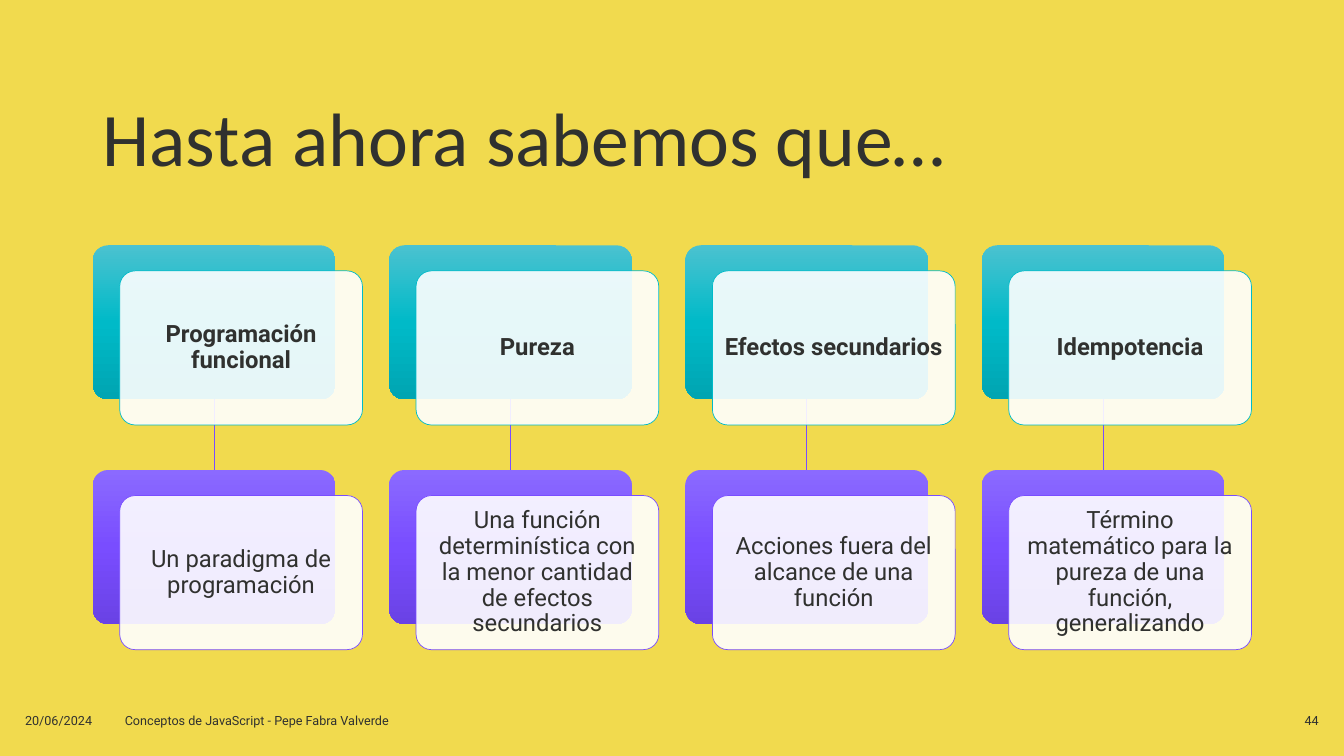
from dataclasses import dataclass

from lxml import etree
from pptx import Presentation
from pptx.dml.color import RGBColor
from pptx.enum.shapes import MSO_CONNECTOR, MSO_SHAPE
from pptx.enum.text import MSO_ANCHOR, PP_ALIGN
from pptx.oxml.ns import qn
from pptx.util import Pt

ROUNDED = MSO_SHAPE.ROUNDED_RECTANGLE
STRAIGHT = MSO_CONNECTOR.STRAIGHT
LEFT, CENTER, RIGHT = PP_ALIGN.LEFT, PP_ALIGN.CENTER, PP_ALIGN.RIGHT
MIDDLE, BOTTOM = MSO_ANCHOR.MIDDLE, MSO_ANCHOR.BOTTOM

COLORS = {
    "background": "F1DA4E",
    "text": "30312F",
    "card": "FFFFFF",
    "teal": "00BAC8",
    "teal_light": "4BC2D0",
    "teal_dark": "00A5B2",
    "violet": "794DFF",
    "violet_light": "8B6AFF",
    "violet_dark": "6A42E5",
}

COLUMN_LEFT, COLUMN_PITCH = 66.24, 211.68
BLOCK_WIDTH, BLOCK_HEIGHT = 173.4, 110.1
CARD_SHIFT_X, CARD_SHIFT_Y = 19.27, 18.3
CORNER = 0.1
CARD_OPACITY = 90
LINE_WIDTH = 0.5
CARD_INSET = 5


@dataclass(frozen=True)
class Box:
    left: float
    top: float
    width: float
    height: float

    def lengths(self) -> tuple:
        return Pt(self.left), Pt(self.top), Pt(self.width), Pt(self.height)


@dataclass(frozen=True)
class Label:
    text: str
    box: Box
    size: float
    font: str = "Roboto"
    align: PP_ALIGN = LEFT
    anchor: MSO_ANCHOR = MIDDLE


@dataclass(frozen=True)
class Level:
    top: float
    color: str
    bold: bool


@dataclass(frozen=True)
class Concept:
    name: str
    meaning: str


LABELS = [
    Label("Hasta ahora sabemos que…", Box(66.24, 28.8, 828, 104.4), 54, "Calibri", anchor=BOTTOM),
    Label("20/06/2024", Box(10.8, 500.4, 69.12, 28.8), 9),
    Label("Conceptos de JavaScript - Pepe Fabra Valverde", Box(82.08, 500.4, 324, 28.8), 9),
    Label("44", Box(733, 500.4, 216, 28.8), 9, align=RIGHT),
]

NAME_LEVEL = Level(175.2, "teal", True)
MEANING_LEVEL = Level(335.7, "violet", False)

CONCEPTS = [
    Concept("Programación funcional", "Un paradigma de programación"),
    Concept("Pureza", "Una función determinística con la menor cantidad de efectos secundarios"),
    Concept("Efectos secundarios", "Acciones fuera del alcance de una función"),
    Concept("Idempotencia", "Término matemático para la pureza de una función, generalizando"),
]


def rgb(name: str) -> RGBColor:
    return RGBColor.from_string(COLORS[name])


def set_attributes(target, values: dict) -> None:
    for name, value in values.items():
        setattr(target, name, value)


def write_text(shape, text: str, frame_format: dict, paragraph_format: dict, font_format: dict) -> None:
    frame = shape.text_frame
    set_attributes(frame, {"word_wrap": True, **frame_format})
    paragraph = frame.paragraphs[0]
    set_attributes(paragraph, paragraph_format)
    run = paragraph.add_run()
    run.text = text
    set_attributes(run.font, font_format)
    run.font.color.rgb = rgb("text")


def add_label(slide, label: Label) -> None:
    write_text(
        slide.shapes.add_textbox(*label.box.lengths()),
        label.text,
        {"vertical_anchor": label.anchor},
        {"alignment": label.align},
        {"name": label.font, "size": Pt(label.size)},
    )


def add_rounded(slide, box: Box):
    shape = slide.shapes.add_shape(ROUNDED, *box.lengths())
    shape.shadow.inherit = False
    shape.adjustments[0] = CORNER
    return shape


def fill_gradient(shape, color: str) -> None:
    """Shade the shape from light at the top to dark at the bottom."""
    shape.fill.gradient()
    shape.fill.gradient_angle = 270
    stops = shape.element.spPr.find(qn("a:gradFill")).find(qn("a:gsLst"))
    for stop in list(stops):
        stops.remove(stop)
    for percent, name in ((0, f"{color}_light"), (50, color), (100, f"{color}_dark")):
        stop = etree.SubElement(stops, qn("a:gs"), pos=str(percent * 1000))
        etree.SubElement(stop, qn("a:srgbClr"), val=COLORS[name])


def set_opacity(shape, percent: int) -> None:
    color = shape.element.spPr.find(qn("a:solidFill")).find(qn("a:srgbClr"))
    etree.SubElement(color, qn("a:alpha"), val=str(percent * 1000))


def add_block(slide, left: float, level: Level, text: str) -> None:
    """Draw a shaded block with a translucent text card shifted over it."""
    block = add_rounded(slide, Box(left, level.top, BLOCK_WIDTH, BLOCK_HEIGHT))
    fill_gradient(block, level.color)
    block.line.fill.background()

    card_box = Box(left + CARD_SHIFT_X, level.top + CARD_SHIFT_Y, BLOCK_WIDTH, BLOCK_HEIGHT)
    card = add_rounded(slide, card_box)
    card.fill.solid()
    card.fill.fore_color.rgb = rgb("card")
    set_opacity(card, CARD_OPACITY)
    card.line.color.rgb = rgb(level.color)
    card.line.width = Pt(LINE_WIDTH)
    insets = {f"margin_{side}": Pt(CARD_INSET) for side in ("left", "top", "right", "bottom")}
    write_text(
        card,
        text,
        {"vertical_anchor": MIDDLE, **insets},
        {"alignment": CENTER, "line_spacing": 0.9},
        {"name": "Roboto", "size": Pt(17), "bold": level.bold},
    )


def add_link(slide, left: float) -> None:
    """Join the two blocks of a column."""
    center = Pt(left + BLOCK_WIDTH / 2)
    start, end = Pt(NAME_LEVEL.top + BLOCK_HEIGHT), Pt(MEANING_LEVEL.top)
    link = slide.shapes.add_connector(STRAIGHT, center, start, center, end)
    link.line.color.rgb = rgb("violet")
    link.line.width = Pt(LINE_WIDTH)
    etree.SubElement(link.element.spPr, qn("a:effectLst"))


def main() -> None:
    presentation = Presentation()
    presentation.slide_width, presentation.slide_height = Pt(960), Pt(540)
    slide = presentation.slides.add_slide(presentation.slide_layouts[6])
    slide.background.fill.solid()
    slide.background.fill.fore_color.rgb = rgb("background")

    for label in LABELS:
        add_label(slide, label)
    for column, concept in enumerate(CONCEPTS):
        left = COLUMN_LEFT + column * COLUMN_PITCH
        add_link(slide, left)
        add_block(slide, left, NAME_LEVEL, concept.name)
        add_block(slide, left, MEANING_LEVEL, concept.meaning)

    presentation.save("out.pptx")


if __name__ == "__main__":
    main()
